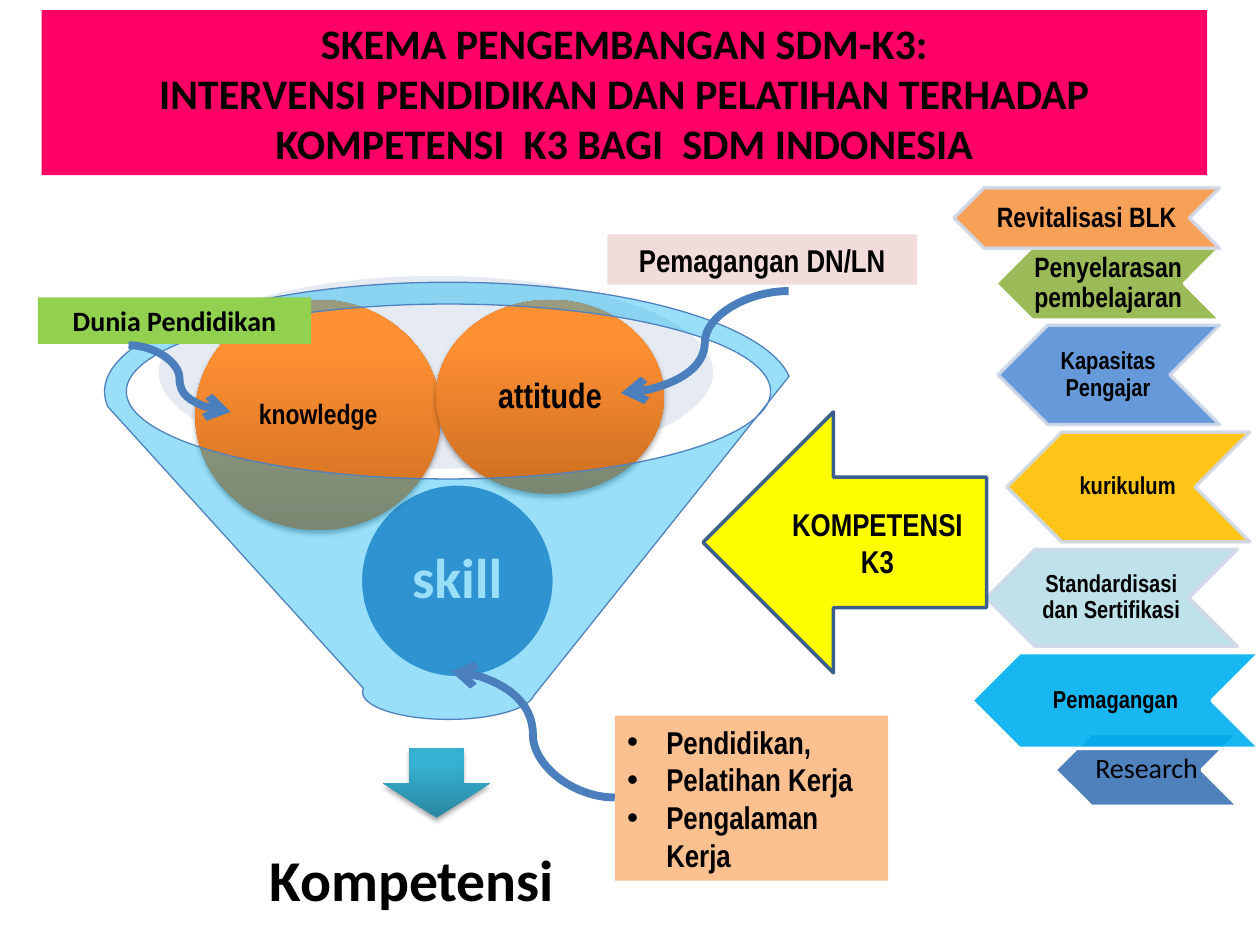
"""Build the slide on developing K3 competence in the Indonesian workforce."""
from lxml import etree
from pptx import Presentation
from pptx.dml.color import RGBColor
from pptx.enum.shapes import MSO_CONNECTOR, MSO_SHAPE
from pptx.enum.text import MSO_ANCHOR, PP_ALIGN
from pptx.oxml.ns import qn
from pptx.util import Pt

PX = 9144
CENTER, LEFT = PP_ALIGN.CENTER, PP_ALIGN.LEFT
MIDDLE = MSO_ANCHOR.MIDDLE
RECTANGLE, OVAL, CHEVRON = MSO_SHAPE.RECTANGLE, MSO_SHAPE.OVAL, MSO_SHAPE.CHEVRON
DOWN_ARROW, LEFT_ARROW, FUNNEL = MSO_SHAPE.DOWN_ARROW, MSO_SHAPE.LEFT_ARROW, MSO_SHAPE.FUNNEL
CURVE = MSO_CONNECTOR.CURVE
NARROW, CALIBRI = "Arial Narrow", "Calibri"


def paint(shape, fill, colour, opacity=100):
    fill.solid()
    fill.fore_color.rgb = RGBColor.from_string(colour)
    if opacity < 100:
        newest = list(shape.element.spPr.iter(qn("a:srgbClr")))[-1]
        etree.SubElement(newest, qn("a:alpha"), val=str(opacity * 1000))


def write(shape, text, font, size, colour="000000", bold=True, align=CENTER, spacing=1.0, inset=None):
    frame = shape.text_frame
    frame.text = text
    frame.word_wrap = True
    frame.vertical_anchor = MIDDLE
    if inset is not None:
        frame.margin_left = frame.margin_right = inset * PX
        frame.margin_top = frame.margin_bottom = inset * PX
    for paragraph in frame.paragraphs:
        paragraph.alignment = align
        paragraph.line_spacing = spacing
        for run in paragraph.runs:
            run.font.name = font
            run.font.size = Pt(size)
            run.font.bold = bold
            run.font.color.rgb = RGBColor.from_string(colour)


presentation = Presentation()
presentation.slide_width = 1000 * PX
presentation.slide_height = 750 * PX
slide = presentation.slides.add_slide(presentation.slide_layouts[6])
shapes = slide.shapes

rim = shapes.add_shape(OVAL, 126 * PX, 219 * PX, 440 * PX, 153 * PX)
rim.shadow.inherit = False
paint(rim, rim.fill, "C2CDE1", 40)
rim.line.fill.background()

outcome = shapes.add_textbox(122 * PX, 650 * PX, 410 * PX, 102 * PX)
write(outcome, "Kompetensi", CALIBRI, 33, spacing=0.9)

skill = shapes.add_shape(OVAL, 286 * PX, 384 * PX, 154 * PX, 154 * PX)
skill.shadow.inherit = False
paint(skill, skill.fill, "4F81BD")
paint(skill, skill.line.fill, "FFFFFF")
skill.line.width = Pt(2)
write(skill, "skill", CALIBRI, 32, "FFFFFF", spacing=0.9, inset=4)

shaded_shapes = [
    (DOWN_ARROW, 304, 594, 85, 55, "2A88A2", "37B1D2", "", 16),
    (OVAL, 155, 238, 195, 183, "CC6E20", "FF9034", "knowledge", 16),
    (OVAL, 346, 238, 181, 154, "CC6E20", "FF9034", "attitude", 20),
]
for kind, left, top, width, height, dark, light, text, size in shaded_shapes:
    shape = shapes.add_shape(kind, left * PX, top * PX, width * PX, height * PX)
    shape.line.fill.background()
    shape.fill.gradient()
    shape.fill.gradient_angle = 90
    for stop, colour, position in zip(shape.fill.gradient_stops, (dark, light), (0, 0.8)):
        stop.color.rgb = RGBColor.from_string(colour)
        stop.position = position
    shape.shadow.inherit = False
    effects = shape.element.spPr.find(qn("a:effectLst"))
    shadow = etree.SubElement(effects, qn("a:outerShdw"), blurRad=str(Pt(3.1)),
                              dist=str(Pt(1.8)), dir="5400000", rotWithShape="0")
    shadow_colour = etree.SubElement(shadow, qn("a:srgbClr"), val="000000")
    etree.SubElement(shadow_colour, qn("a:alpha"), val="35000")
    if text:
        write(shape, text, NARROW, size, spacing=0.9, inset=2)

funnel = shapes.add_shape(FUNNEL, 83 * PX, 224 * PX, 546 * PX, 347 * PX)
funnel.shadow.inherit = False
paint(funnel, funnel.fill, "00B0F0", 40)
paint(funnel, funnel.line.fill, "4F81BD")
funnel.line.width = Pt(0.75)

title = ("SKEMA PENGEMBANGAN SDM-K3:\n"
         "INTERVENSI PENDIDIKAN DAN PELATIHAN TERHADAP KOMPETENSI  K3 BAGI  SDM INDONESIA")
experience = "Pendidikan,\nPelatihan Kerja\nPengalaman Kerja"
panels = [
    (30, 236, 217, 37, "92D050", "Dunia Pendidikan", CALIBRI, 16, CENTER),
    (488, 568, 217, 131, "FAC090", experience, NARROW, 18, LEFT),
    (482, 186, 246, 40, "F2DCDB", "Pemagangan DN/LN", NARROW, 18, CENTER),
    (33, 8, 925, 131, "FF0066", title, CALIBRI, 24, CENTER),
]
for left, top, width, height, colour, text, font, size, align in panels:
    panel = shapes.add_shape(RECTANGLE, left * PX, top * PX, width * PX, height * PX)
    panel.shadow.inherit = False
    paint(panel, panel.fill, colour)
    panel.line.fill.background()
    write(panel, text, font, size, align=align)
    if align == LEFT:
        for paragraph in panel.text_frame.paragraphs:
            properties = paragraph._p.get_or_add_pPr()
            properties.set("marL", str(31 * PX))
            properties.set("indent", str(-31 * PX))
            etree.SubElement(properties, qn("a:buFont"), typeface="Arial")
            etree.SubElement(properties, qn("a:buChar"), char="•")

curves = [(102, 274, 183, 327), (488, 633, 358, 533), (626, 231, 493, 312)]
for ends in curves:
    curve = shapes.add_connector(CURVE, *(end * PX for end in ends))
    curve.line.width = Pt(4.5)
    curve.line.color.rgb = RGBColor.from_string("4B7EBC")
    etree.SubElement(curve.line._get_or_add_ln(), qn("a:tailEnd"), type="arrow")
    etree.SubElement(curve.element.spPr, qn("a:effectLst"))

programmes = [
    (790, 196, 179, 58, "9BBB59", 100, "FFFFFF", "Penyelarasan pembelajaran", NARROW, 16),
    (792, 258, 176, 79, "558ED5", 90, "D0D8E8", "Kapasitas Pengajar", NARROW, 14),
    (757, 149, 211, 48, "F79646", 90, "D0D8E8", "Revitalisasi BLK", NARROW, 16),
    (837, 582, 146, 58, "4F81BD", 100, "FFFFFF", "Research", CALIBRI, 16),
    (783, 436, 199, 77, "B7DEE8", 90, "D0D8E8", "Standardisasi dan Sertifikasi", NARROW, 14),
    (799, 343, 193, 87, "FFC000", 90, "D0D8E8", "kurikulum", NARROW, 14),
    (771, 518, 229, 76, "00B0F0", 90, "FFFFFF", "Pemagangan", NARROW, 14),
]
for left, top, width, height, colour, opacity, edge, text, font, size in programmes:
    chevron = shapes.add_shape(CHEVRON, left * PX, top * PX, width * PX, height * PX)
    chevron.rotation = 180
    chevron.shadow.inherit = False
    paint(chevron, chevron.fill, colour, opacity)
    paint(chevron, chevron.line.fill, edge, 100 if edge == "FFFFFF" else 90)
    chevron.line.width = Pt(2)
    label = shapes.add_textbox((left + height // 2) * PX, top * PX, (width - height) * PX, height * PX)
    write(label, text, font, size, bold=font == NARROW, spacing=0.9, inset=0)

competence = shapes.add_shape(LEFT_ARROW, 558 * PX, 327 * PX, 225 * PX, 207 * PX)
competence.shadow.inherit = False
paint(competence, competence.fill, "FFFF00")
paint(competence, competence.line.fill, "3A5F8C")
competence.line.width = Pt(2)
write(competence, "KOMPETENSI K3", NARROW, 18)

presentation.save("out.pptx")
